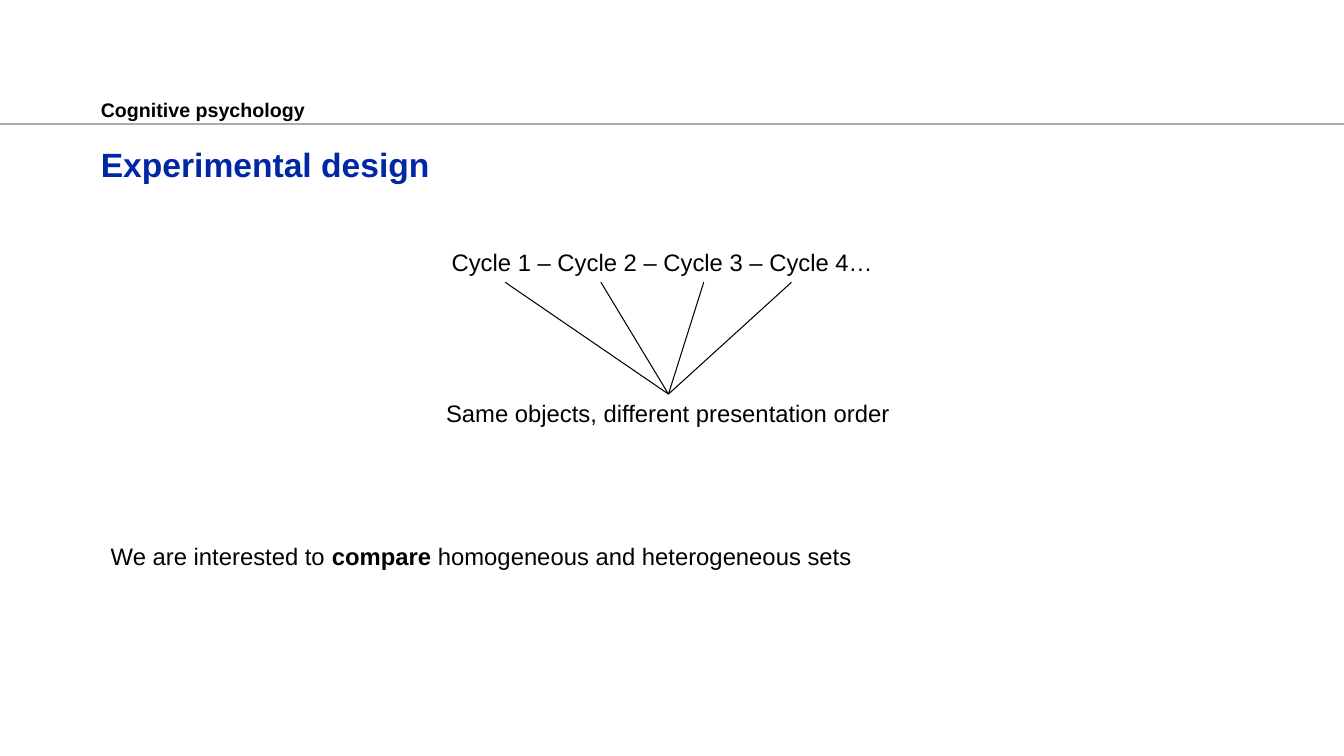
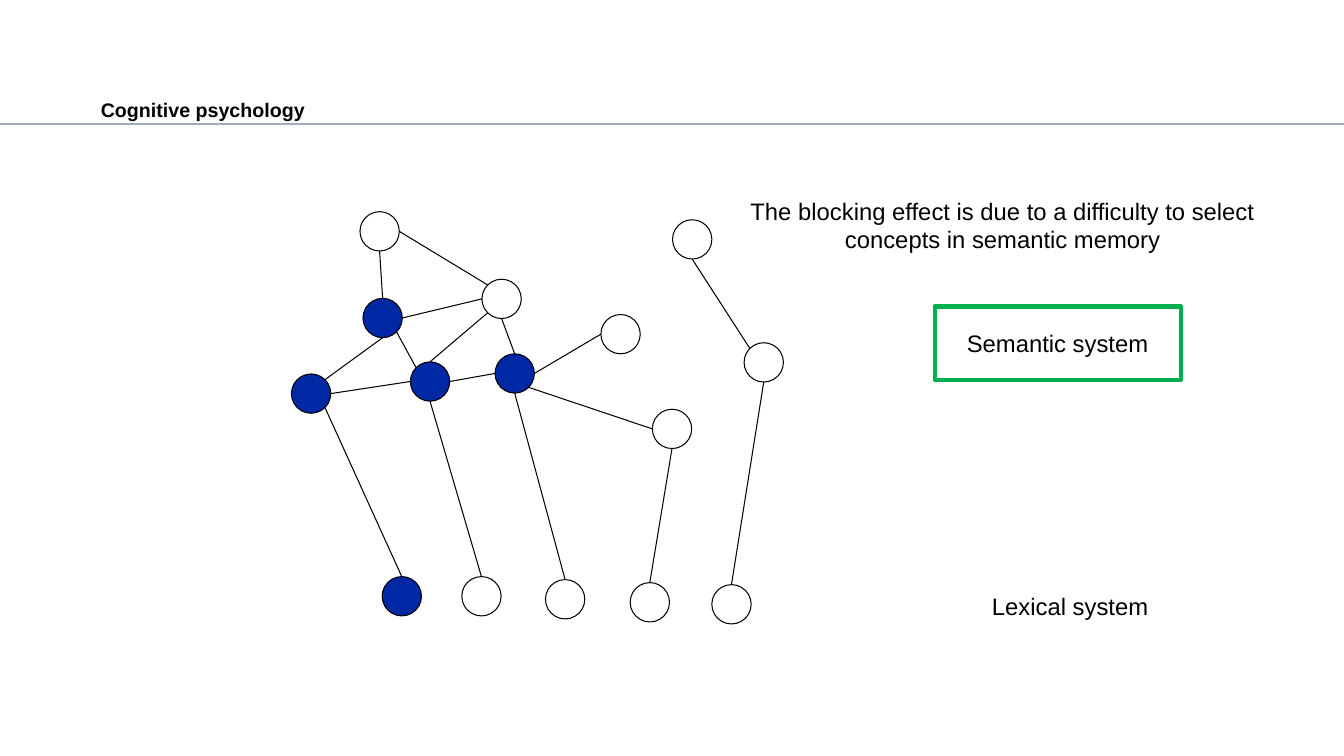
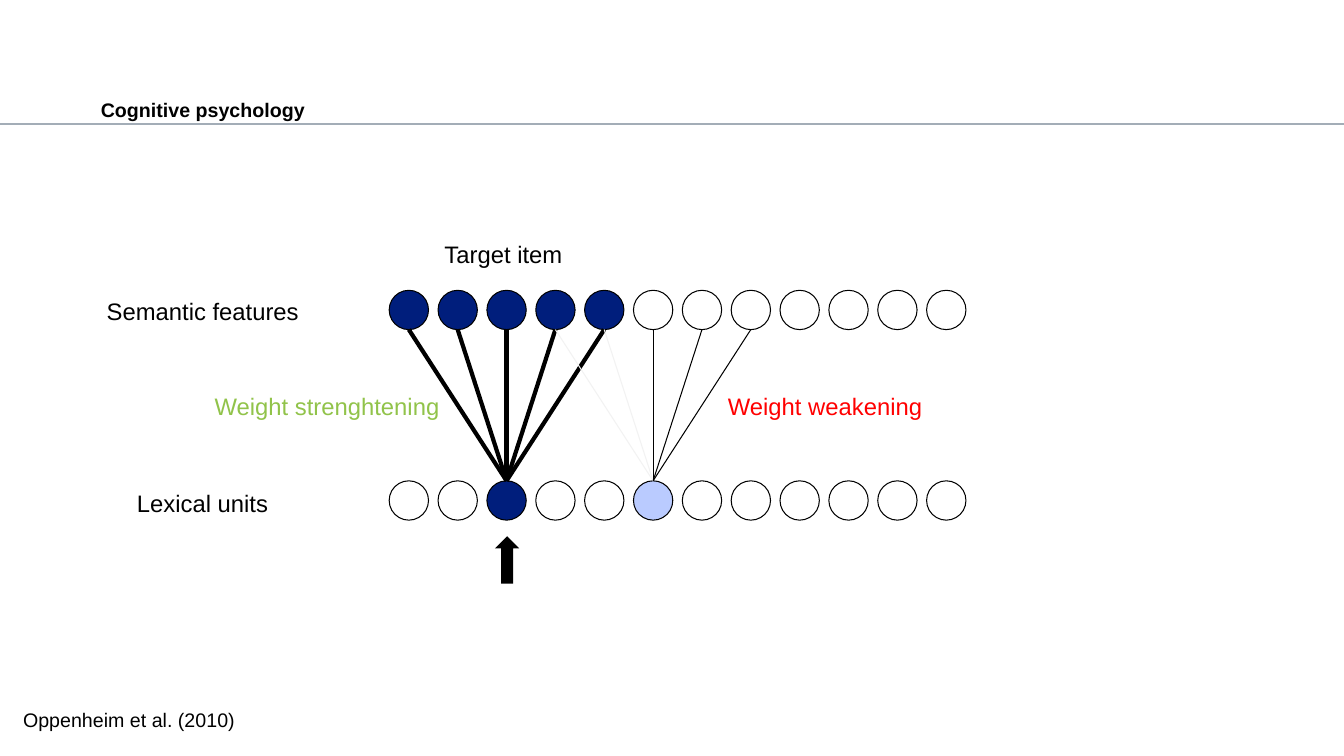
from math import sqrt

from lxml.etree import SubElement
from pptx import Presentation
from pptx.dml.color import RGBColor
from pptx.enum.shapes import MSO_CONNECTOR, MSO_SHAPE
from pptx.enum.text import MSO_ANCHOR, MSO_AUTO_SIZE, PP_ALIGN
from pptx.oxml.ns import qn
from pptx.util import Inches, Pt

DIAGONAL = 1 / sqrt(2)
COMPASS = {
    "N": (0, -1), "S": (0, 1), "W": (-1, 0), "E": (1, 0),
    "NW": (-DIAGONAL, -DIAGONAL), "NE": (DIAGONAL, -DIAGONAL),
    "SW": (-DIAGONAL, DIAGONAL), "SE": (DIAGONAL, DIAGONAL),
}


def colour(value):
    return RGBColor.from_string(value)


class Deck:
    FONT = "Arial"
    BLACK, WHITE, BLUE, NAVY = "000000", "FFFFFF", "0028A5", "001E7C"
    PALE_BLUE, FAINT, RULE = "BACBFF", "F2F2F2", "A3ADB7"
    GREEN, LIME, RED = "00B050", "91C34A", "FF0000"
    TITLE_ONLY, BLANK = 5, 6
    NODE = 0.39

    def __init__(self):
        self.presentation = Presentation()
        self.presentation.slide_width = Inches(13.33)
        self.presentation.slide_height = Inches(7.5)
        self.slide = None

    def start(self, title=None):
        layout = self.TITLE_ONLY if title else self.BLANK
        self.slide = self.presentation.slides.add_slide(
            self.presentation.slide_layouts[layout])
        self.line((0, 1.23), (13.33, 1.23), self.RULE, 1.25)
        header = self.slide.shapes.add_textbox(
            Inches(1), Inches(0.93), Inches(8.02), Inches(0.25))
        self.heading(header, "Cognitive psychology", 14, self.BLACK)
        if title:
            heading = self.slide.shapes.title
            heading.left, heading.top = Inches(1), Inches(1.39)
            heading.width, heading.height = Inches(11.34), Inches(0.87)
            self.heading(heading, title, 24, self.BLUE)

    def style(self, run, size, hue, bold=False):
        run.font.name = self.FONT
        run.font.size = Pt(size)
        run.font.bold = bold
        run.font.color.rgb = colour(hue)

    def heading(self, box, text, size, hue):
        frame = box.text_frame
        frame.text = text
        frame.word_wrap = True
        frame.auto_size = MSO_AUTO_SIZE.NONE
        frame.vertical_anchor = MSO_ANCHOR.TOP
        frame.margin_left = frame.margin_right = frame.margin_bottom = 0
        frame.margin_top = Inches(0.04)
        frame.paragraphs[0].alignment = PP_ALIGN.LEFT
        self.style(frame.paragraphs[0].runs[0], size, hue, True)

    def label(self, text, left, top, width, height=0.39, size=17,
              hue=BLACK, align=PP_ALIGN.LEFT, wrap=False):
        box = self.slide.shapes.add_textbox(
            Inches(left), Inches(top), Inches(width), Inches(height))
        frame = box.text_frame
        frame.text = text
        frame.word_wrap = wrap
        frame.auto_size = MSO_AUTO_SIZE.SHAPE_TO_FIT_TEXT
        paragraph = frame.paragraphs[0]
        paragraph.alignment = align
        self.style(paragraph.runs[0], size, hue)
        return paragraph

    def extend(self, paragraph, text, bold=False):
        run = paragraph.add_run()
        run.text = text
        self.style(run, 17, self.BLACK, bold)

    def line(self, start, end, hue=BLACK, weight=0.75):
        connector = self.slide.shapes.add_connector(
            MSO_CONNECTOR.STRAIGHT, *map(Inches, start + end))
        connector.line.color.rgb = colour(hue)
        connector.line.width = Pt(weight)
        SubElement(connector.element.spPr, qn("a:effectLst"))

    def shape(self, kind, left, top, width, height,
              fill=None, outline=None, weight=0.75):
        shape = self.slide.shapes.add_shape(
            kind, Inches(left), Inches(top), Inches(width), Inches(height))
        shape.shadow.inherit = False
        if fill:
            shape.fill.solid()
            shape.fill.fore_color.rgb = colour(fill)
        else:
            shape.fill.background()
        if outline:
            shape.line.color.rgb = colour(outline)
            shape.line.width = Pt(weight)
        else:
            shape.line.fill.background()

    def node(self, left, top, fill):
        self.shape(MSO_SHAPE.OVAL, left, top, self.NODE, self.NODE,
                   fill, self.BLACK)

    def rim(self, corner, side):
        radius = self.NODE / 2
        return tuple(start + radius * (1 + step)
                     for start, step in zip(corner, COMPASS[side]))


def experimental_design(deck):
    deck.start("Experimental design")
    deck.label("Cycle 1 – Cycle 2 – Cycle 3 – Cycle 4…", 4.38, 2.41, 4.38)
    deck.label("Same objects, different presentation order", 4.3, 3.91, 4.65,
               align=PP_ALIGN.CENTER)
    for cycle_x in (5.01, 5.96, 6.98, 7.85):
        deck.line((cycle_x, 2.8), (6.63, 3.91))
    aim = deck.label("We are interested to ", 1, 5.32, 7.63)
    deck.extend(aim, "compare ", bold=True)
    deck.extend(aim, "homogeneous and heterogeneous sets")


def semantic_network(deck):
    deck.start()
    nodes = {
        "C1": (3.6, 2.96), "C2": (4.07, 3.59), "C3": (4.78, 2.77),
        "C4": (4.91, 3.51), "C5": (2.89, 3.71), "C6": (3.57, 2.1),
        "C7": (5.96, 3.12), "C8": (6.67, 2.18), "C9": (7.38, 3.4),
        "C10": (6.47, 4.06),
        "W1": (3.79, 5.72), "W2": (4.58, 5.72), "W3": (5.41, 5.75),
        "W4": (6.25, 5.78), "W5": (7.06, 5.8),
    }
    active = {"C1", "C2", "C4", "C5", "W1"}
    links = [
        ("C3", "S", "C4", "N"), ("C2", "N", "C3", "SW"),
        ("C1", "E", "C3", "W"), ("C1", "N", "C6", "S"),
        ("C3", "NW", "C6", "E"), ("C1", "S", "C5", "NE"),
        ("C2", "W", "C5", "E"), ("C4", "W", "C2", "E"),
        ("C7", "W", "C4", "E"), ("C8", "S", "C9", "NW"),
        ("C10", "W", "C4", "SE"), ("W1", "N", "C5", "SE"),
        ("W2", "N", "C2", "S"), ("W4", "N", "C10", "S"),
        ("W5", "N", "C9", "S"), ("W3", "N", "C4", "S"),
        ("C1", "SE", "C2", "NW"),
    ]
    for name, corner in nodes.items():
        deck.node(*corner, deck.BLUE if name in active else deck.WHITE)
    for origin, origin_side, target, target_side in links:
        deck.line(deck.rim(nodes[origin], origin_side),
                  deck.rim(nodes[target], target_side))
    deck.label("Lexical system", 9.74, 5.82, 1.77)
    deck.label("Semantic system", 9.49, 3.21, 2.02)
    deck.shape(MSO_SHAPE.RECTANGLE, 9.27, 3.04, 2.44, 0.73,
               outline=deck.GREEN, weight=3)
    deck.label("The blocking effect is due to a difficulty to select "
               "concepts in semantic memory", 6.86, 1.9, 6.17, 0.67,
               align=PP_ALIGN.CENTER, wrap=True)


def weight_changes(deck):
    deck.start()
    deck.label("Oppenheim et al. (2010)", 0.13, 6.97, 2.31, 0.34, size=14)
    columns = 12
    pitch = (9.19 - 3.86) / (columns - 1)
    features, units = (
        [(3.86 + pitch * column, top) for column in range(columns)]
        for top in (2.88, 4.77))
    target, competitor = 2, 5
    unit_fills = {target: deck.NAVY, competitor: deck.PALE_BLUE}
    for column in range(columns):
        deck.node(*features[column], deck.NAVY if column < 5 else deck.WHITE)
        deck.node(*units[column], unit_fills.get(column, deck.WHITE))
    bundles = [
        (range(5), target, deck.BLACK, 3),
        (range(3, 5), competitor, deck.FAINT, 0.75),
        (range(5, 8), competitor, deck.BLACK, 0.75),
    ]
    for sources, unit, hue, weight in bundles:
        for source in sources:
            deck.line(deck.rim(features[source], "S"),
                      deck.rim(units[unit], "N"), hue, weight)
    deck.shape(MSO_SHAPE.UP_ARROW, 4.91, 5.32, 0.24, 0.47, fill=deck.BLACK)
    deck.label("Semantic features", 0.96, 2.89, 2.13)
    deck.label("Lexical units", 1.26, 4.8, 1.52)
    deck.label("Weight strenghtening", 2.03, 3.84, 2.46, hue=deck.LIME)
    deck.label("Weight weakening", 7.12, 3.84, 2.15, hue=deck.RED)
    deck.label("Target item", 4.31, 2.33, 1.38)


def main():
    deck = Deck()
    experimental_design(deck)
    semantic_network(deck)
    weight_changes(deck)
    deck.presentation.save("out.pptx")


if __name__ == "__main__":
    main()
